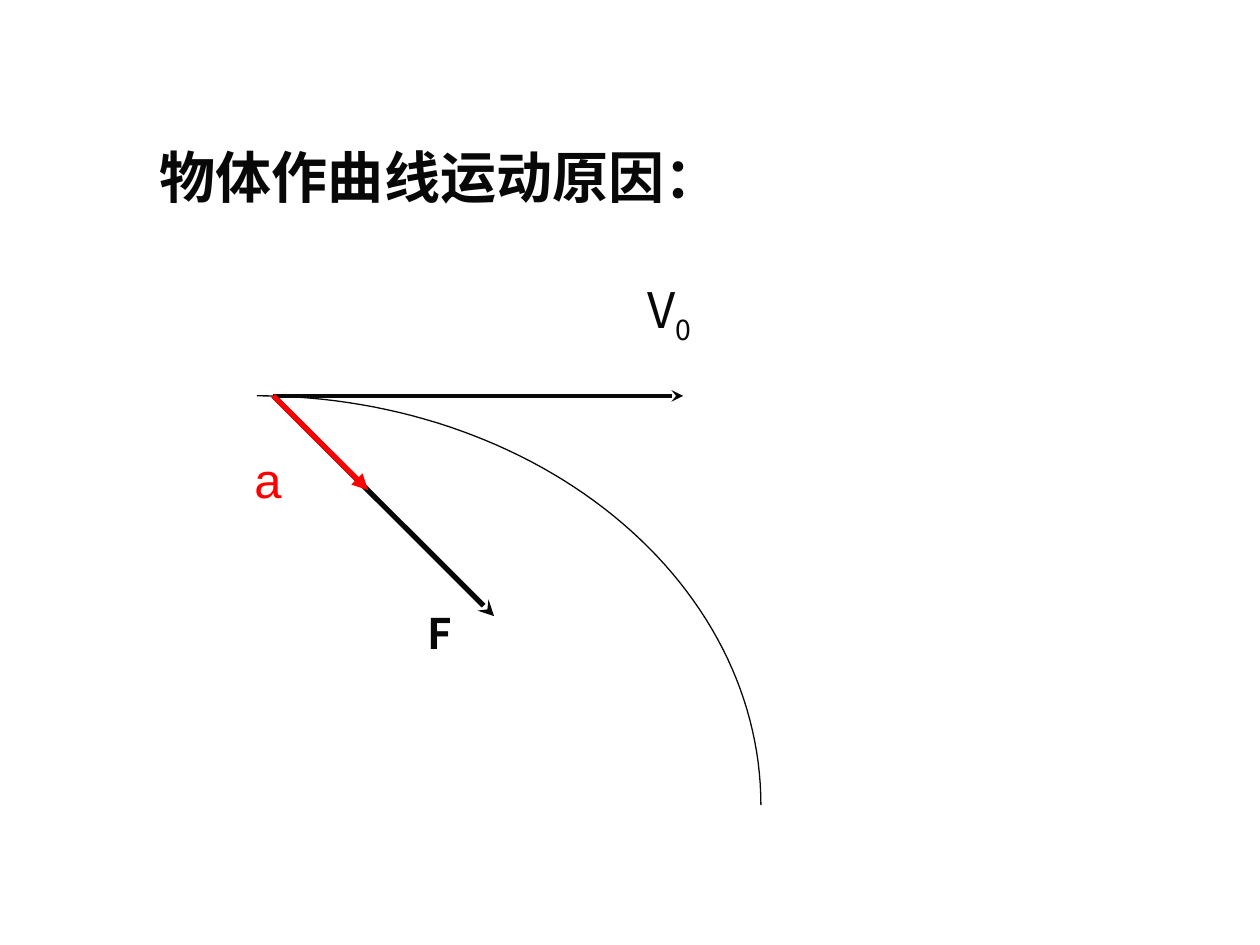
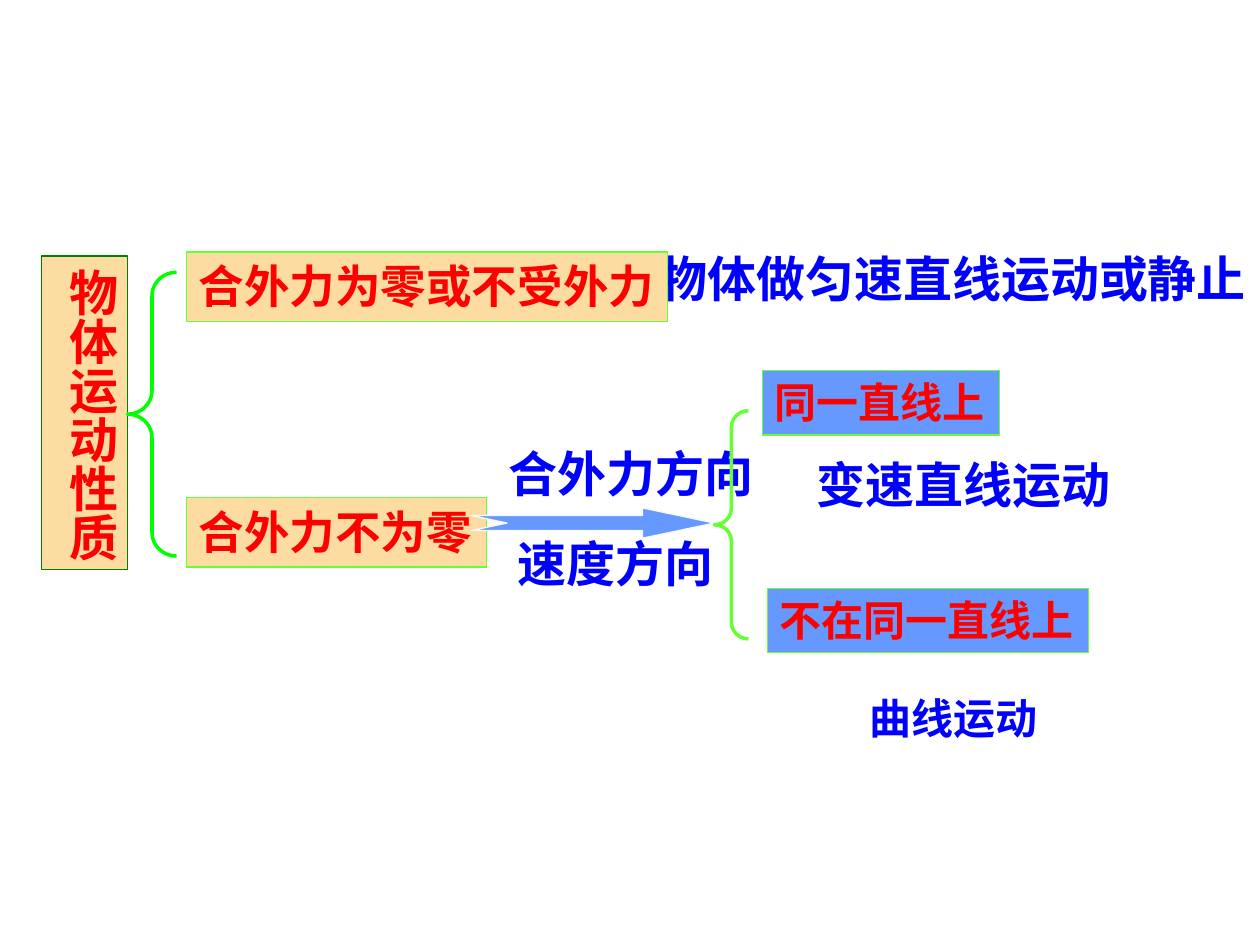
from math import cos, pi, sin

from lxml import etree
from pptx import Presentation
from pptx.dml.color import RGBColor
from pptx.enum.shapes import MSO_CONNECTOR, MSO_SHAPE
from pptx.enum.text import MSO_ANCHOR, MSO_AUTO_SIZE, PP_ALIGN
from pptx.oxml.ns import qn
from pptx.util import Cm, Pt

BLACK = RGBColor(0x08, 0x08, 0x08)
RED = RGBColor(0xFF, 0x00, 0x00)
BLUE = RGBColor(0x00, 0x00, 0xFF)
SKY = RGBColor(0x66, 0x99, 0xFF)
PEACH = RGBColor(0xFD, 0xDC, 0xA1)
DARK_GREEN = RGBColor(0x00, 0x80, 0x00)
GREEN = RGBColor(0x00, 0xFF, 0x00)
LIME = RGBColor(0x66, 0xFF, 0x33)
PALE = RGBColor(0xF8, 0xF8, 0xF8)

RECT = MSO_SHAPE.RECTANGLE
BRACE = MSO_SHAPE.LEFT_BRACE
NOTCHED_ARROW = MSO_SHAPE.NOTCHED_RIGHT_ARROW
STRAIGHT = MSO_CONNECTOR.STRAIGHT
LEFT = PP_ALIGN.LEFT
TOP = MSO_ANCHOR.TOP
FIT_SHAPE = MSO_AUTO_SIZE.SHAPE_TO_FIT_TEXT

LATIN_FONT = "Arial"
CJK_FONT = "Noto Sans CJK SC"
TITLE_ONLY, BLANK = 5, 6


def write_text(sp, text, size=28, color=BLACK, bold=True, font=LATIN_FONT,
               wrap=False, vertical=False, subscript=""):
    tf = sp.text_frame
    tf.word_wrap = wrap
    tf.auto_size = FIT_SHAPE
    tf.vertical_anchor = TOP
    if vertical:
        tf._txBody.bodyPr.set("vert", "eaVert")
    p = tf.paragraphs[0]
    p.alignment = LEFT
    for part in filter(None, (text, subscript)):
        r = p.add_run()
        r.text = part
        r.font.size = Pt(size)
        r.font.bold = bold
        r.font.color.rgb = color
        r.font.name = font
        rPr = r._r.get_or_add_rPr()
        etree.SubElement(rPr, qn("a:ea")).set("typeface", CJK_FONT)
        if part == subscript:
            rPr.set("baseline", "-25000")


class Deck:
    def __init__(self):
        self.prs = Presentation()
        self.prs.slide_width = Cm(25.4)
        self.prs.slide_height = Cm(19.05)
        self.s = None

    def new_slide(self, layout):
        self.s = self.prs.slides.add_slide(self.prs.slide_layouts[layout])

    def title(self, text, x, y, w, h):
        sp = self.s.shapes.title
        sp.left, sp.top, sp.width, sp.height = map(Cm, (x, y, w, h))
        write_text(sp, text, size=32, wrap=True)

    def label(self, text, x, y, w, h=1.45, **style):
        sp = self.s.shapes.add_textbox(*map(Cm, (x, y, w, h)))
        write_text(sp, text, **style)

    def shape(self, kind, x, y, w, h, line, width=0.75, fill=None, adjust=()):
        sp = self.s.shapes.add_shape(kind, *map(Cm, (x, y, w, h)))
        for i, value in enumerate(adjust):
            sp.adjustments[i] = value
        self.outline(sp, line, width, fill)
        return sp

    def outline(self, sp, line, width, fill=None):
        sp.shadow.inherit = False
        sp.line.color.rgb = line
        sp.line.width = Pt(width)
        if fill is None:
            sp.fill.background()
        else:
            sp.fill.solid()
            sp.fill.fore_color.rgb = fill

    def box(self, text, x, y, w, h, fill, line=LIME, **style):
        sp = self.shape(RECT, x, y, w, h, line, fill=fill)
        write_text(sp, text, color=RED, **style)

    def brace(self, x, y, w, h, color):
        self.shape(BRACE, x, y, w, h, color, width=2, adjust=(0.48, 0.5))

    def arrow(self, start, end, color, width, head):
        sp = self.s.shapes.add_connector(STRAIGHT, *map(Cm, start + end))
        sp.line.color.rgb = color
        sp.line.width = Pt(width)
        etree.SubElement(sp.line._get_or_add_ln(), qn("a:tailEnd")).set("type", head)
        etree.SubElement(sp._element.spPr, qn("a:effectLst"))

    def quarter_ellipse(self, cx, cy, rx, ry, steps=60):
        angles = [pi / 2 * i / steps for i in range(steps + 1)]
        points = [(Cm(cx + rx * sin(a)), Cm(cy - ry * cos(a))) for a in angles]
        builder = self.s.shapes.build_freeform(*points[0])
        builder.add_line_segments(points[1:], close=False)
        self.outline(builder.convert_to_shape(), BLACK, 0.75)


def build_cause_slide(deck):
    deck.new_slide(TITLE_ONLY)
    deck.title("物体作曲线运动原因：", 2.97, 2.74, 16.94, 1.6)
    deck.quarter_ellipse(5.18, 16.23, 10.16, 8.25)
    body = (5.51, 7.98)
    deck.arrow(body, (9.96, 12.42), BLACK, 3, "stealth")
    deck.label("F", 8.36, 12.12, 2.24, 1.27, size=24, font=CJK_FONT, wrap=True)
    deck.arrow(body, (13.77, 7.98), BLACK, 2.25, "stealth")
    deck.label("V", 12.8, 5.51, 2.84, subscript="0", bold=False,
               font=CJK_FONT, wrap=True)
    deck.arrow(body, (7.42, 9.88), RED, 3, "triangle")
    deck.label("a", 4.88, 8.94, 1.9, color=RED, bold=False, wrap=True)


def build_motion_slide(deck):
    deck.new_slide(BLANK)
    deck.box("物体运动性质", 0.84, 5.16, 1.73, 6.32, PEACH, DARK_GREEN, vertical=True)
    deck.label("物体做匀速直线运动或静止", 13.03, 4.88, 12.37, color=BLUE)
    deck.brace(2.57, 5.49, 0.99, 5.72, GREEN)
    for text, y, w in (("合外力为零或不受外力", 5.08, 9.7),
                       ("合外力不为零", 10.03, 6.05)):
        deck.box(text, 3.76, y, w, 1.4, PEACH, size=26)
    deck.shape(NOTCHED_ARROW, 9.5, 10.24, 4.9, 0.61, PALE, fill=SKY,
               adjust=(0.5, 2.37))
    deck.label("合外力方向", 10.01, 8.81, 5.46, color=BLUE)
    deck.label("速度方向", 10.19, 10.64, 4.47, color=BLUE)
    deck.brace(14.4, 8.28, 0.69, 4.6, LIME)
    for text, x, y, w in (("同一直线上", 15.37, 7.47, 4.78),
                          ("不在同一直线上", 15.47, 11.86, 6.48)):
        deck.box(text, x, y, w, 1.3, SKY, size=24)
    deck.label("变速直线运动", 16.21, 9.04, 6.43, color=BLUE)
    deck.label("曲线运动", 17.27, 13.84, 3.89, 1.27, size=24, color=BLUE)


def main():
    deck = Deck()
    build_cause_slide(deck)
    build_motion_slide(deck)
    deck.prs.save("out.pptx")


if __name__ == "__main__":
    main()
